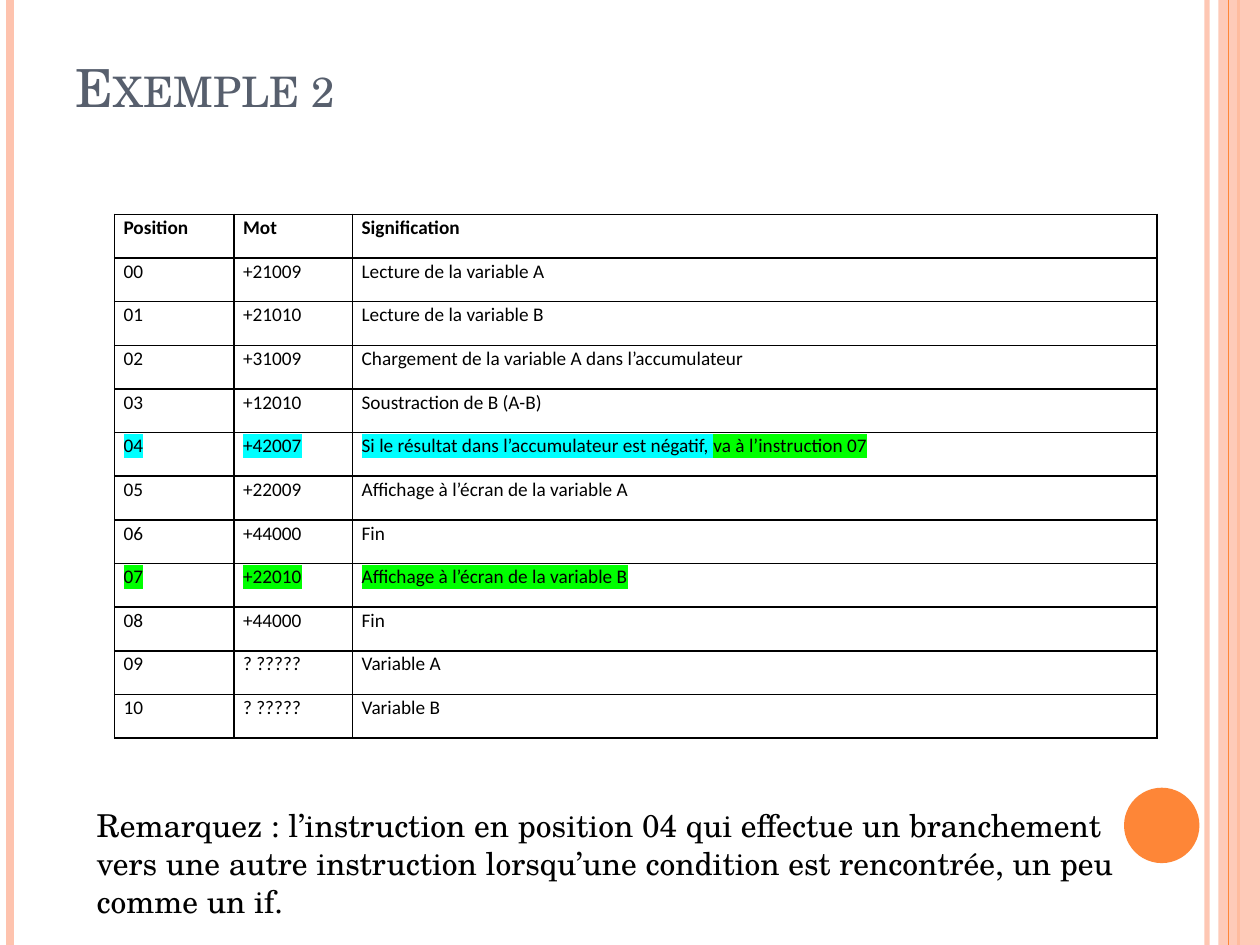
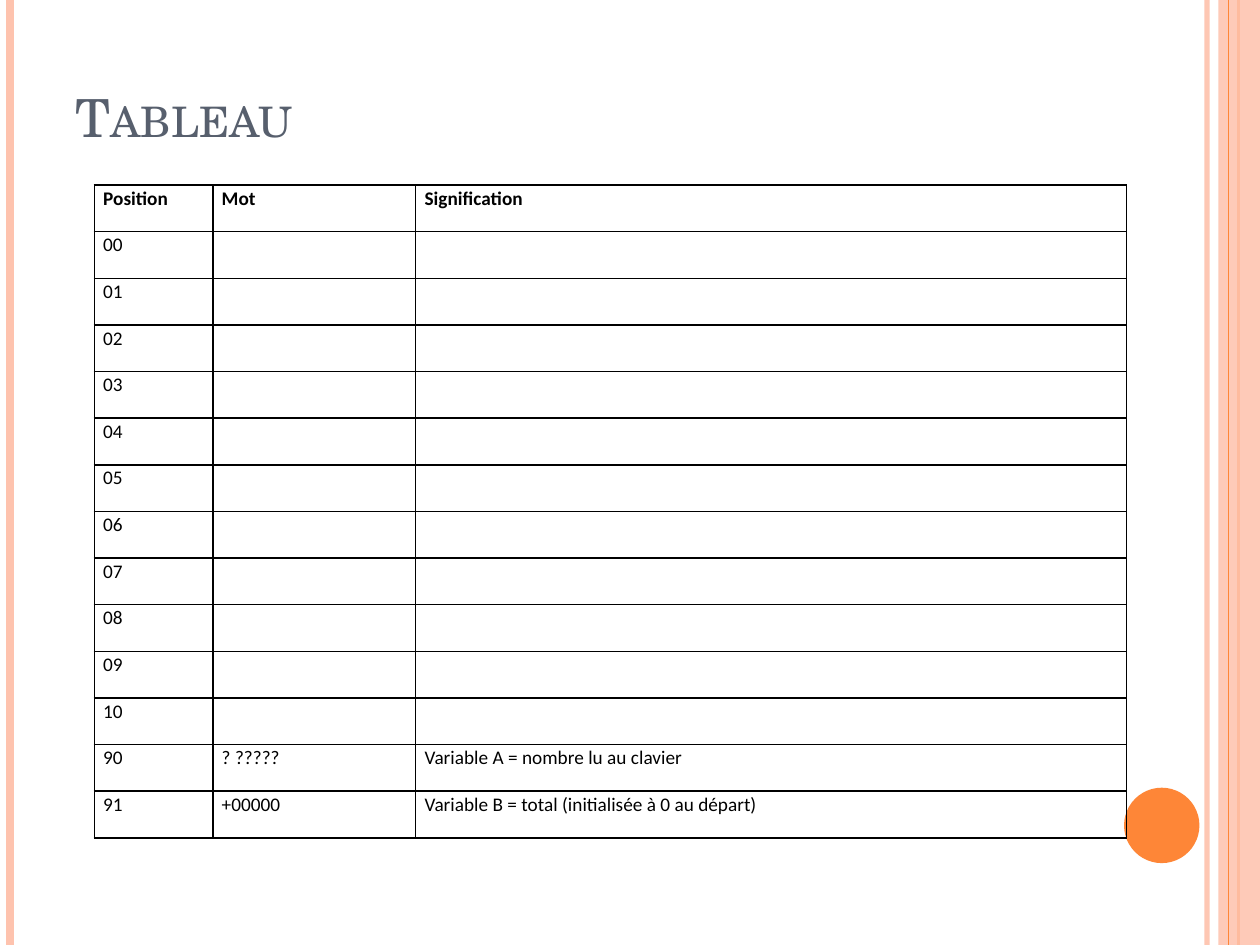
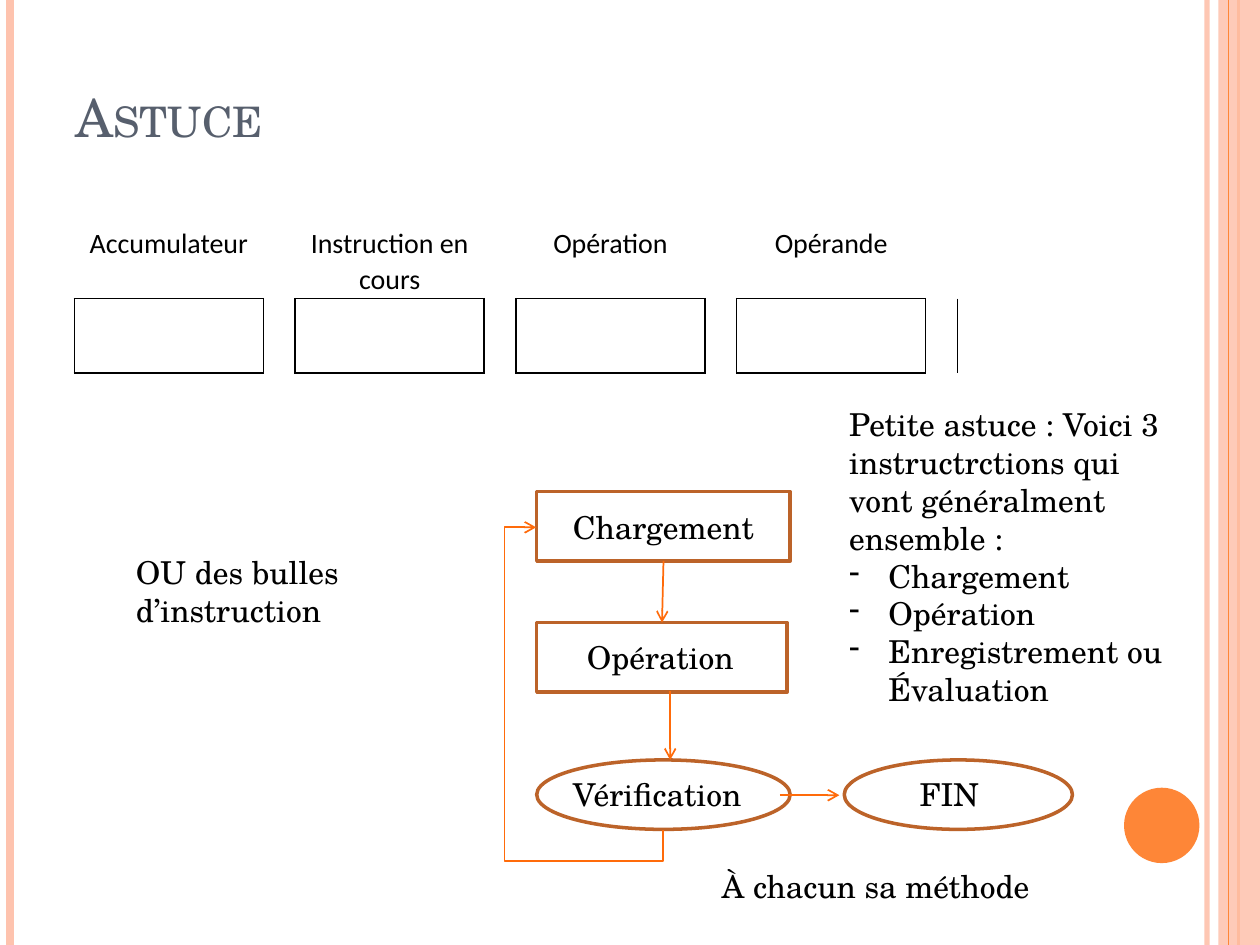
"""Build three slides on machine instructions: an example, a blank table and a tip."""
from lxml import etree
from pptx import Presentation
from pptx import util as u
from pptx.dml.color import RGBColor
from pptx.enum import shapes, text
from pptx.oxml.ns import qn

BLACK = RGBColor(0x00, 0x00, 0x00)
SLATE = RGBColor(0x57, 0x5F, 0x6D)
PEACH = RGBColor(0xFE, 0xC3, 0xAE)
ORANGE = RGBColor(0xFE, 0x86, 0x37)
ARROW = RGBColor(0xFF, 0x6B, 0x0A)
BROWN = RGBColor(0xBC, 0x63, 0x29)
CYAN = RGBColor(0x00, 0xFF, 0xFF)
GREEN = RGBColor(0x00, 0xFF, 0x00)

TITLE = {"name": "TeX Gyre Schola", "size": u.Pt(30), "bold": False}
BODY = {"name": "TeX Gyre Schola", "size": u.Pt(18)}
CELL = {"name": "Calibri", "size": u.Pt(11), "bold": False}
HEADER = CELL | {"bold": True}
LABEL = CELL | {"size": u.Pt(16)}
CELL_MARGINS = {"margin_left": u.Cm(0.18), "margin_right": u.Cm(0.18),
                "margin_top": 0, "margin_bottom": 0}
NO_STYLE = "{2D5ABB26-0587-4C30-8999-92F81FD0307C}"


def write(paragraph, words, font_format, color=BLACK, highlight=None):
    run = paragraph.add_run()
    run.text = words
    run.font.color.rgb = color
    for name, value in font_format.items():
        setattr(run.font, name, value)
    properties = run._r.get_or_add_rPr()
    if highlight is not None:
        mark = etree.Element(qn("a:highlight"))
        etree.SubElement(mark, qn("a:srgbClr"), val=str(highlight))
        properties.find(qn("a:solidFill")).addnext(mark)
    return properties


def draw_line(slide, ends, color, width, arrow=False, kind=shapes.MSO_CONNECTOR.STRAIGHT):
    connector = slide.shapes.add_connector(kind, *(u.Cm(value) for value in ends))
    connector.line.color.rgb = color
    connector.line.width = u.Pt(width)
    properties = connector.element.spPr
    if arrow:
        etree.SubElement(properties.find(qn("a:ln")), qn("a:tailEnd"), type="arrow")
    etree.SubElement(properties, qn("a:effectLst"))
    return connector


presentation = Presentation()
presentation.slide_width, presentation.slide_height = u.Cm(25.4), u.Cm(19.05)
layout = presentation.slide_layouts[5]

slides = []
for words, width, height in (("Exemple 2", 22.86, 1.75), ("Tableau", 22.86, 2.36),
                             ("Astuce", 20.75, 2.36)):
    slide = presentation.slides.add_slide(layout)
    title = slide.shapes.title
    title.left, title.top = u.Cm(1.27), u.Cm(0.76)
    title.width, title.height = u.Cm(width), u.Cm(height)
    title.text_frame.vertical_anchor = text.MSO_ANCHOR.BOTTOM
    title.text_frame.auto_size = text.MSO_AUTO_SIZE.NONE
    paragraph = title.text_frame.paragraphs[0]
    paragraph.alignment = text.PP_ALIGN.LEFT
    write(paragraph, words, TITLE, SLATE).set("cap", "small")
    slides.append(slide)
example, blank_table, tip = slides

decorations = [draw_line(example, (x, 0, x, 19.05), color, width)
               for x, color, width in ((24.33, PEACH, 3), (0.2, PEACH, 4.5), (24.97, ORANGE, 1.5))]
band = example.shapes.add_shape(shapes.MSO_SHAPE.RECTANGLE, u.Cm(24.56), 0, u.Cm(0.84), u.Cm(19.05))
decorations += [band, draw_line(example, (24.77, 0, 24.77, 19.05), ORANGE, 0.75)]
disc = example.shapes.add_shape(shapes.MSO_SHAPE.OVAL, u.Cm(22.66), u.Cm(15.88), u.Cm(1.52), u.Cm(1.52))
decorations.append(disc)
for shape, color in ((band, PEACH), (disc, ORANGE)):
    shape.shadow.inherit = False
    shape.fill.solid()
    shape.fill.fore_color.rgb = color
    shape.line.fill.background()
for shape, opacity in ((decorations[0], "93000"), (band, "87000")):
    etree.SubElement(next(shape.element.iter(qn("a:srgbClr"))), qn("a:alpha"), val=opacity)
for shape in decorations:
    layout.shapes.element.append(shape.element)

headings = ("Position", "Mot", "Signification")
example_rows = [
    headings,
    ("00", "+21009", "Lecture de la variable A"),
    ("01", "+21010", "Lecture de la variable B"),
    ("02", "+31009", "Chargement de la variable A dans l’accumulateur"),
    ("03", "+12010", "Soustraction de B (A-B)"),
    ("04", "+42007", "Si le résultat dans l’accumulateur est négatif, |va à l’instruction 07"),
    ("05", "+22009", "Affichage à l’écran de la variable A"),
    ("06", "+44000", "Fin"),
    ("07", "+22010", "Affichage à l’écran de la variable B"),
    ("08", "+44000", "Fin"),
    ("09", "? ?????", "Variable A"),
    ("10", "? ?????", "Variable B"),
]
blank_rows = [headings] + [(f"{position:02}", "", "") for position in range(11)] + [
    ("90", "? ?????", "Variable A = nombre lu au clavier"),
    ("91", "+00000", "Variable B = total (initialisée à 0 au départ)"),
]
registers = ("Accumulateur", "Instruction en cours", "Opération", "Opérande")
register_rows = [[words for register in registers for words in (register, "")] + [""], [""] * 9]
highlights = {"04": (CYAN, GREEN), "07": (GREEN,)}

for slide, rows, left, top, widths, height in (
        (example, example_rows, 2.31, 4.32, (2.41, 2.39, 16.21), 0.88),
        (blank_table, blank_rows, 1.9, 3.73, (2.39, 4.09, 14.33), 0.94),
        (tip, register_rows, 1.5, 4.52, (3.81, 0.64) * 4 + (3.81,), 1.5)):
    frame = slide.shapes.add_table(len(rows), len(widths), u.Cm(left), u.Cm(top),
                                   u.Cm(sum(widths)), u.Cm(height * len(rows)))
    table = frame.table
    table.first_row = table.horz_banding = False
    next(frame.element.iter(qn("a:tableStyleId"))).text = NO_STYLE
    for column, width in zip(table.columns, widths):
        column.width = u.Cm(width)
    for row_number, values in enumerate(rows):
        table.rows[row_number].height = u.Cm(height)
        marks = highlights.get(values[0], (None,)) if slide is example else (None,)
        for column_number, value in enumerate(values):
            cell = table.cell(row_number, column_number)
            for name, margin in CELL_MARGINS.items():
                setattr(cell, name, margin)
            paragraph = cell.text_frame.paragraphs[0]
            paragraph.line_spacing = 1.07
            if slide is tip:
                paragraph.alignment = text.PP_ALIGN.CENTER
                font_format = LABEL
                is_register = column_number in (0, 2, 4, 6)
                if row_number == 0:
                    sides = "B" if is_register else ""
                else:
                    sides = "LRTB" if is_register else {7: "L", 8: ""}.get(column_number, "LR")
            else:
                paragraph.alignment = text.PP_ALIGN.JUSTIFY
                font_format = CELL if row_number else HEADER
                sides = "LRTB"
            if value:
                for part, mark in zip(value.split("|"), marks):
                    write(paragraph, part, font_format, highlight=mark)
            cell_properties = cell._tc.get_or_add_tcPr()
            for side in sides:
                border = etree.SubElement(cell_properties, qn(f"a:ln{side}"), w=str(u.Pt(1)))
                fill = etree.SubElement(border, qn("a:solidFill"))
                etree.SubElement(fill, qn("a:srgbClr"), val=str(BLACK))
            cell.fill.background()

steps = []
for kind, left, top, width in ((shapes.MSO_SHAPE.RECTANGLE, 10.82, 9.91, 5.11),
                               (shapes.MSO_SHAPE.RECTANGLE, 10.82, 12.55, 5.05),
                               (shapes.MSO_SHAPE.OVAL, 10.82, 15.32, 5.11),
                               (shapes.MSO_SHAPE.OVAL, 17.02, 15.32, 4.6)):
    step = tip.shapes.add_shape(kind, u.Cm(left), u.Cm(top), u.Cm(width), u.Cm(1.4))
    step.shadow.inherit = False
    step.fill.background()
    step.line.color.rgb = BROWN
    step.line.width = u.Pt(2)
    steps.append(step)

loading_arrow = draw_line(tip, (13.37, 11.31, 13.35, 12.55), ARROW, 1, True)
loading_arrow.begin_connect(steps[0], 2)
loading_arrow.end_connect(steps[1], 0)
for ends in ((13.51, 13.93, 13.51, 15.32), (15.72, 16.03, 16.92, 16.03)):
    draw_line(tip, ends, ARROW, 1, True)
loop_arrow = draw_line(tip, (15.14, 12.4, 9.04, 14.96), ARROW, 1, True, shapes.MSO_CONNECTOR.ELBOW)
loop_arrow.element.spPr.find(qn("a:xfrm")).set("rot", "5400000")
geometry = loop_arrow.element.spPr.find(qn("a:prstGeom"))
geometry.set("prst", "bentConnector4")
for name, value in (("adj1", -10400), ("adj2", 124900)):
    etree.SubElement(geometry.find(qn("a:avLst")), qn("a:gd"), name=name, fmla=f"val {value}")

for slide, left, top, width, height, lines in (
        (example, 1.7, 16.13, 21.79, 1.8,
         ["Remarquez : l’instruction en position 04 qui effectue un branchement vers une autre "
          "instruction lorsqu’une condition est rencontrée, un peu comme un if."]),
        (tip, 2.49, 11.02, 5.21, 1.8, ["OU des bulles d’instruction"]),
        (tip, 14.3, 17.35, 8.76, 1.02, ["À chacun sa méthode"]),
        (tip, 11.3, 10.11, 4.22, 1.02, ["Chargement"]),
        (tip, 11.58, 12.73, 3.61, 1.02, ["Opération"]),
        (tip, 11.3, 15.49, 3.99, 1.02, ["Vérification"]),
        (tip, 18.29, 15.49, 2.21, 1.02, ["FIN"]),
        (tip, 16.87, 8.05, 7.09, 5.64,
         ["Petite astuce : Voici 3 instructrctions qui vont généralment ensemble :",
          "Chargement", "Opération", "Enregistrement ou Évaluation"])):
    box = slide.shapes.add_textbox(u.Cm(left), u.Cm(top), u.Cm(width), u.Cm(height))
    box.text_frame.word_wrap = True
    box.text_frame.auto_size = text.MSO_AUTO_SIZE.SHAPE_TO_FIT_TEXT
    for number, words in enumerate(lines):
        paragraph = box.text_frame.add_paragraph() if number else box.text_frame.paragraphs[0]
        if number:
            bullet_properties = paragraph._p.get_or_add_pPr()
            bullet_properties.set("marL", str(u.Cm(0.79)))
            bullet_properties.set("indent", str(-u.Cm(0.79)))
            etree.SubElement(bullet_properties, qn("a:buChar"), char="-")
        write(paragraph, words, BODY)

presentation.save("out.pptx")
